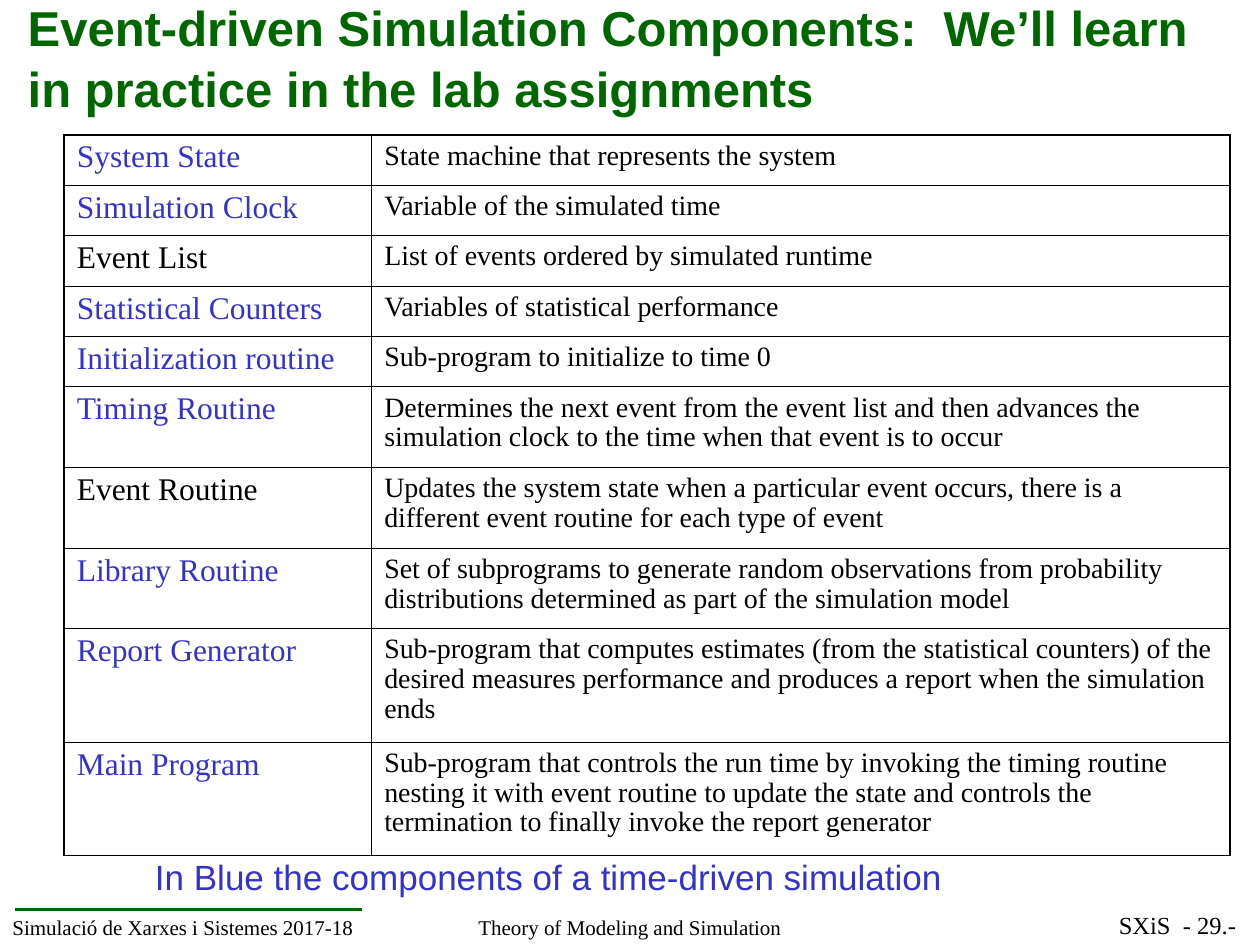
from pptx import Presentation
from pptx.dml.color import RGBColor
from pptx.enum.shapes import MSO_CONNECTOR
from pptx.enum.text import MSO_ANCHOR, MSO_AUTO_SIZE, PP_ALIGN
from pptx.oxml.ns import qn
from pptx.util import Inches, Pt
from lxml import etree

LEFT, CENTER, RIGHT = PP_ALIGN.LEFT, PP_ALIGN.CENTER, PP_ALIGN.RIGHT
MIDDLE = MSO_ANCHOR.MIDDLE
NO_AUTOFIT = MSO_AUTO_SIZE.NONE
STRAIGHT = MSO_CONNECTOR.STRAIGHT
TITLE_ONLY = 5

SANS, SERIF = "Arial", "Times New Roman"
GREEN, BLUE, BLACK, WHITE = "006600", "3333CC", "000000", "FFFFFF"
THIN, THICK = 0.45, 1.08

COMPONENTS = [
    ("System State", BLUE, "State machine that represents the system"),
    ("Simulation Clock", BLUE, "Variable of the simulated time"),
    ("Event List", BLACK, "List of events ordered by simulated runtime"),
    ("Statistical Counters", BLUE, "Variables of statistical performance"),
    ("Initialization routine", BLUE, "Sub-program to initialize to time 0"),
    ("Timing Routine", BLUE,
     "Determines the next event from the event list and then advances the "
     "simulation clock to the time when that event is to occur"),
    ("Event Routine", BLACK,
     "Updates the system state when a particular event occurs, there is a "
     "different event routine for each type of event"),
    ("Library Routine", BLUE,
     "Set of subprograms to generate random observations from probability "
     "distributions determined as part of the simulation model"),
    ("Report Generator", BLUE,
     "Sub-program that computes estimates (from the statistical counters) of the "
     "desired measures performance and produces a report when the simulation ends"),
    ("Main Program", BLUE,
     "Sub-program that controls the run time by invoking the timing routine "
     "nesting it with event routine to update the state and controls the "
     "termination to finally invoke the report generator"),
]
COLUMN_WIDTHS = [2.44, 6.81]
ROW_HEIGHTS = [0.4] * 5 + [0.64] * 3 + [0.9] * 2


def color(value):
    return RGBColor.from_string(value)


class SlideBuilder:
    """Holds the style and the current slide, and draws each kind of element."""

    def __init__(self, slide):
        self.slide = slide
        self.margins = {
            "margin_left": Inches(0.1), "margin_right": Inches(0.1),
            "margin_top": Inches(0.05), "margin_bottom": Inches(0.05),
        }

    def set_attributes(self, target, values):
        for name, value in values.items():
            setattr(target, name, value)

    def fill_text(self, frame, text, size, font, ink, bold=False, **paragraph_format):
        paragraph = frame.paragraphs[0]
        self.set_attributes(paragraph, paragraph_format)
        run = paragraph.add_run()
        run.text = text
        self.set_attributes(run.font, {"size": Pt(size), "name": font, "bold": bold})
        run.font.color.rgb = color(ink)

    def title(self, text, box):
        heading = self.slide.shapes.title
        sides = ("left", "top", "width", "height")
        self.set_attributes(heading, dict(zip(sides, map(Inches, box))))
        frame = heading.text_frame
        self.set_attributes(frame, {
            **self.margins, "vertical_anchor": MIDDLE,
            "word_wrap": True, "auto_size": NO_AUTOFIT,
        })
        self.fill_text(frame, text, 28, SANS, GREEN, True,
                       alignment=LEFT, line_spacing=1.05)

    def text(self, text, box, size, font, ink, alignment=LEFT, wrap=True):
        frame = self.slide.shapes.add_textbox(*map(Inches, box)).text_frame
        self.set_attributes(frame, {**self.margins, "word_wrap": wrap})
        self.fill_text(frame, text, size, font, ink, alignment=alignment)

    def line(self, start, end, ink, width):
        rule = self.slide.shapes.add_connector(STRAIGHT, *map(Inches, start + end))
        rule.line.color.rgb = color(ink)
        rule.line.width = Pt(width)
        etree.SubElement(rule._element.spPr, qn("a:effectLst"))

    def borders(self, cell, widths):
        properties = cell._tc.get_or_add_tcPr()
        for side, width in widths.items():
            edge = etree.SubElement(properties, qn(f"a:ln{side}"), w=str(Pt(width)))
            fill = etree.SubElement(edge, qn("a:solidFill"))
            etree.SubElement(fill, qn("a:srgbClr"), val=BLACK)

    def table(self, components, left, top, widths, heights):
        grid = self.slide.shapes.add_table(
            len(heights), len(widths), Inches(left), Inches(top),
            Inches(sum(widths)), Inches(sum(heights))).table
        self.set_attributes(grid, {"first_row": False, "horz_banding": False})
        for column, width in zip(grid.columns, widths):
            column.width = Inches(width)
        last = len(heights) - 1
        for index, (name, ink, description) in enumerate(components):
            grid.rows[index].height = Inches(heights[index])
            entries = [(name, 18, ink, 4.5), (description, 16, BLACK, 4)]
            for position, (text, size, text_ink, before) in enumerate(entries):
                cell = grid.cell(index, position)
                self.set_attributes(cell, self.margins)
                self.borders(cell, {
                    "L": THICK if position == 0 else THIN,
                    "R": THICK if position == 1 else THIN,
                    "T": THICK if index == 0 else THIN,
                    "B": THICK if index == last else THIN,
                })
                cell.fill.solid()
                cell.fill.fore_color.rgb = color(WHITE)
                self.fill_text(cell.text_frame, text, size, SERIF, text_ink,
                               space_before=Pt(before), line_spacing=0.96)


def main():
    presentation = Presentation()
    presentation.slide_width, presentation.slide_height = Inches(10), Inches(7.5)
    layout = presentation.slide_layouts[TITLE_ONLY]
    builder = SlideBuilder(presentation.slides.add_slide(layout))

    builder.text("SXiS  - 29.-", (8.31, 7.17, 1.6, 0.33), 14, SERIF, BLACK, RIGHT)
    builder.text("Simulació de Xarxes i Sistemes 2017-18",
                 (0, 7.21, 3.11, 0.29), 12, SERIF, BLACK)
    builder.line((0.12, 7.22), (2.87, 7.22), GREEN, 1.5)
    builder.text("Theory of Modeling and Simulation",
                 (0.12, 7.21, 9.76, 0.29), 12, SERIF, BLACK, CENTER)
    builder.title("Event-driven Simulation Components:  We’ll learn in practice "
                  "in the lab assignments", (0.12, 0.13, 9.76, 0.63))
    builder.table(COMPONENTS, 0.51, 1.07, COLUMN_WIDTHS, ROW_HEIGHTS)
    builder.text("In Blue the components of a time-driven simulation",
                 (1.13, 6.74, 6.45, 0.44), 20, SANS, BLUE, CENTER, wrap=False)

    presentation.save("out.pptx")


if __name__ == "__main__":
    main()
